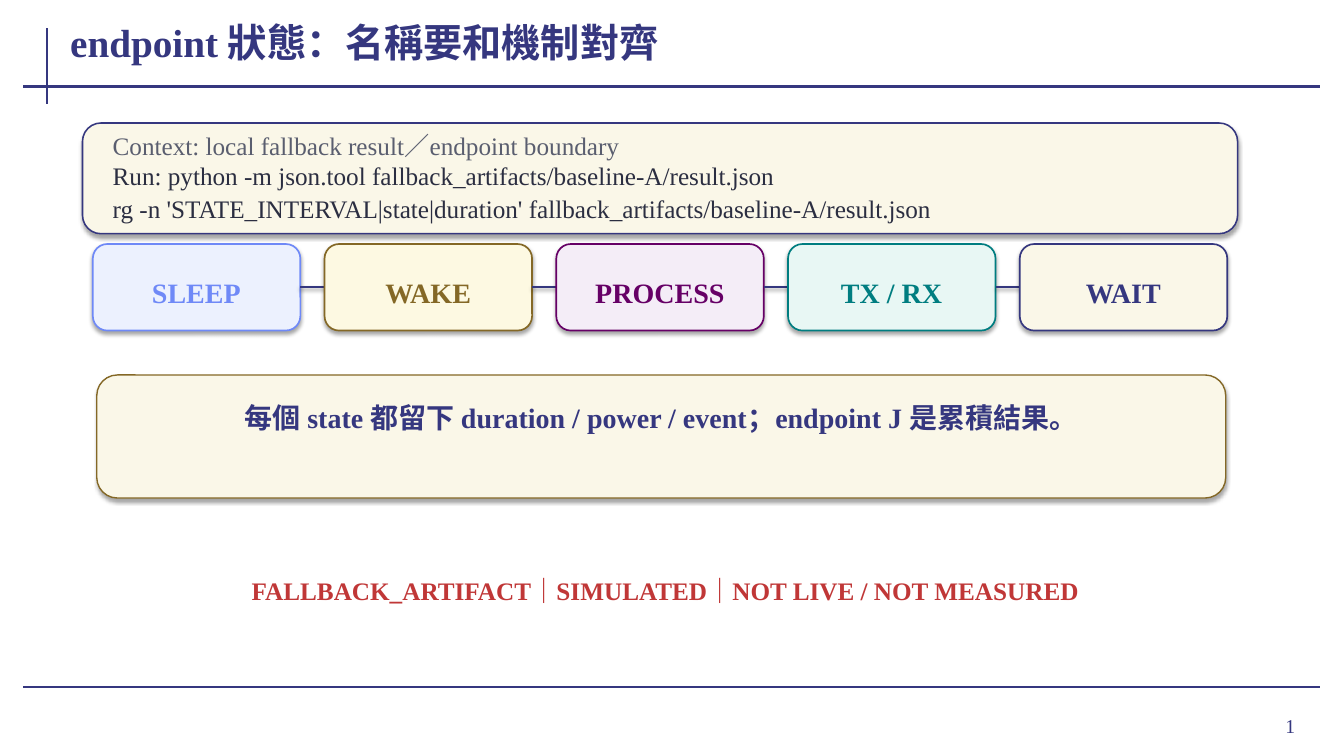
from dataclasses import dataclass

from lxml.etree import SubElement
from pptx import Presentation
from pptx.dml.color import RGBColor
from pptx.enum.shapes import MSO_CONNECTOR, MSO_SHAPE
from pptx.enum.text import MSO_ANCHOR, MSO_AUTO_SIZE, PP_ALIGN
from pptx.oxml.ns import qn
from pptx.slide import Slide
from pptx.util import Cm, Pt

FONT = "Times New Roman"
NAVY, GOLD, CREAM = "35377F", "846826", "FAF7E8"
LEFT, MID, RIGHT = PP_ALIGN.LEFT, PP_ALIGN.CENTER, PP_ALIGN.RIGHT


@dataclass
class Box:
    left: float
    top: float
    width: float
    height: float


@dataclass
class Label:
    box: Box
    lines: list[str]
    size: float
    color: str = NAVY
    bold: bool = False
    align: PP_ALIGN = LEFT
    grow: bool = True


@dataclass
class Card:
    box: Box
    fill: str
    edge: str
    weight: float


@dataclass
class Rule:
    left: float
    top: float
    right: float
    foot: float
    weight: float = 1.5
    shade: int = 0


@dataclass
class State:
    name: str
    fill: str
    edge: str


RULES = [
    Rule(1.19, 0.71, 1.19, 2.62),
    Rule(0.59, 2.18, 33.27, 2.18),
    Rule(0.59, 17.32, 33.27, 17.32),
]
CARDS = [
    Card(Box(2.08, 3.1, 29.11, 2.79), CREAM, NAVY, 1.1),
    Card(Box(2.44, 9.45, 28.45, 3.1), CREAM, GOLD, 1),
]
LABELS = [
    Label(Box(1.57, 0.38, 31.72, 1.57), ["endpoint 狀態：名稱要和機制對齊"],
          28, bold=True, grow=False),
    Label(Box(2.64, 3.2, 27.89, 0.66),
          ["Context: local fallback result／endpoint boundary"], 18, "5A5E6F"),
    Label(Box(2.64, 3.96, 27.89, 1.83),
          ["Run: python -m json.tool fallback_artifacts/baseline-A/result.json",
           "rg -n 'STATE_INTERVAL|state|duration' fallback_artifacts/baseline-A/result.json"],
          18, "2B2E41"),
    Label(Box(3.05, 10.01, 27.23, 2.08),
          ["每個 state 都留下 duration / power / event；endpoint J 是累積結果。"],
          20, bold=True, align=MID),
    Label(Box(2.34, 14.43, 28.85, 0.76),
          ["FALLBACK_ARTIFACT｜SIMULATED｜NOT LIVE / NOT MEASURED"],
          18, "C03737", True, MID),
]
STATES = [
    State("SLEEP", "ECF1FE", "6F89F7"),
    State("WAKE", "FDF9E2", GOLD),
    State("PROCESS", "F4EDF7", "660066"),
    State("TX / RX", "E8F7F4", "007D80"),
    State("WAIT", CREAM, NAVY),
]
START, STEP, WIDTH, LINK = 2.34, 5.84, 5.23, 0.76


def rgb(code: str) -> RGBColor:
    return RGBColor.from_string(code)


def add_shade(effects, alpha: int, gap: float) -> None:
    shade = SubElement(effects, qn("a:outerShdw"), blurRad=str(Pt(3.1)),
                       dist=str(Pt(gap)), dir="5400000", rotWithShape="0")
    black = SubElement(shade, qn("a:srgbClr"), val="000000")
    SubElement(black, qn("a:alpha"), val=str(alpha * 1000))


def draw_rule(slide: Slide, rule: Rule) -> None:
    line = slide.shapes.add_connector(
        MSO_CONNECTOR.STRAIGHT, Cm(rule.left), Cm(rule.top), Cm(rule.right), Cm(rule.foot))
    line.line.color.rgb = rgb(NAVY)
    line.line.width = Pt(rule.weight)
    effects = SubElement(line._element.spPr, qn("a:effectLst"))
    if rule.shade:
        add_shade(effects, rule.shade, 1.6)


def draw_card(slide: Slide, card: Card) -> None:
    box = card.box
    shape = slide.shapes.add_shape(
        MSO_SHAPE.ROUNDED_RECTANGLE, Cm(box.left), Cm(box.top), Cm(box.width), Cm(box.height))
    shape.fill.solid()
    shape.fill.fore_color.rgb = rgb(card.fill)
    shape.line.color.rgb = rgb(card.edge)
    shape.line.width = Pt(card.weight)
    shape.shadow.inherit = False
    add_shade(shape._element.spPr.find(qn("a:effectLst")), 35, 1.8)


def draw_label(slide: Slide, label: Label) -> MSO_ANCHOR:
    box = label.box
    frame = slide.shapes.add_textbox(
        Cm(box.left), Cm(box.top), Cm(box.width), Cm(box.height)).text_frame
    frame.word_wrap = True
    frame.auto_size = MSO_AUTO_SIZE.SHAPE_TO_FIT_TEXT if label.grow else MSO_AUTO_SIZE.NONE
    frame.margin_left = frame.margin_right = Cm(0.2)
    frame.margin_top, frame.margin_bottom = Cm(0.08), Cm(0.05)
    frame.text = "\n".join(label.lines)
    for para in frame.paragraphs:
        para.alignment = label.align
        para.space_after = Pt(2)
        para.font.name = FONT
        para.font.size = Pt(label.size)
        para.font.bold = label.bold
        para.font.color.rgb = rgb(label.color)
    return frame


def draw_state(slide: Slide, state: State, left: float) -> None:
    draw_card(slide, Card(Box(left, 6.15, WIDTH, 2.18), state.fill, state.edge, 1.2))
    draw_label(slide, Label(Box(left + 0.25, 6.86, 4.72, 0.61), [state.name],
                            20, state.edge, True, MID))


def main() -> None:
    deck = Presentation()
    deck.slide_width, deck.slide_height = Cm(33.87), Cm(19.05)
    slide = deck.slides.add_slide(deck.slide_layouts[6])
    for rule in RULES:
        draw_rule(slide, rule)
    for card in CARDS:
        draw_card(slide, card)
    for label in LABELS:
        draw_label(slide, label)
    for rank, state in enumerate(STATES):
        left = START + rank * STEP
        if rank:
            edge = left - STEP + WIDTH
            draw_rule(slide, Rule(edge, 7.24, edge + LINK, 7.24, 1.6, 38))
        draw_state(slide, state, left)
    page = draw_label(slide, Label(Box(30.38, 17.6, 2.46, 1.32), ["1"], 14,
                                   align=RIGHT, grow=False))
    page.vertical_anchor = MSO_ANCHOR.MIDDLE
    deck.save("out.pptx")


if __name__ == "__main__":
    main()
